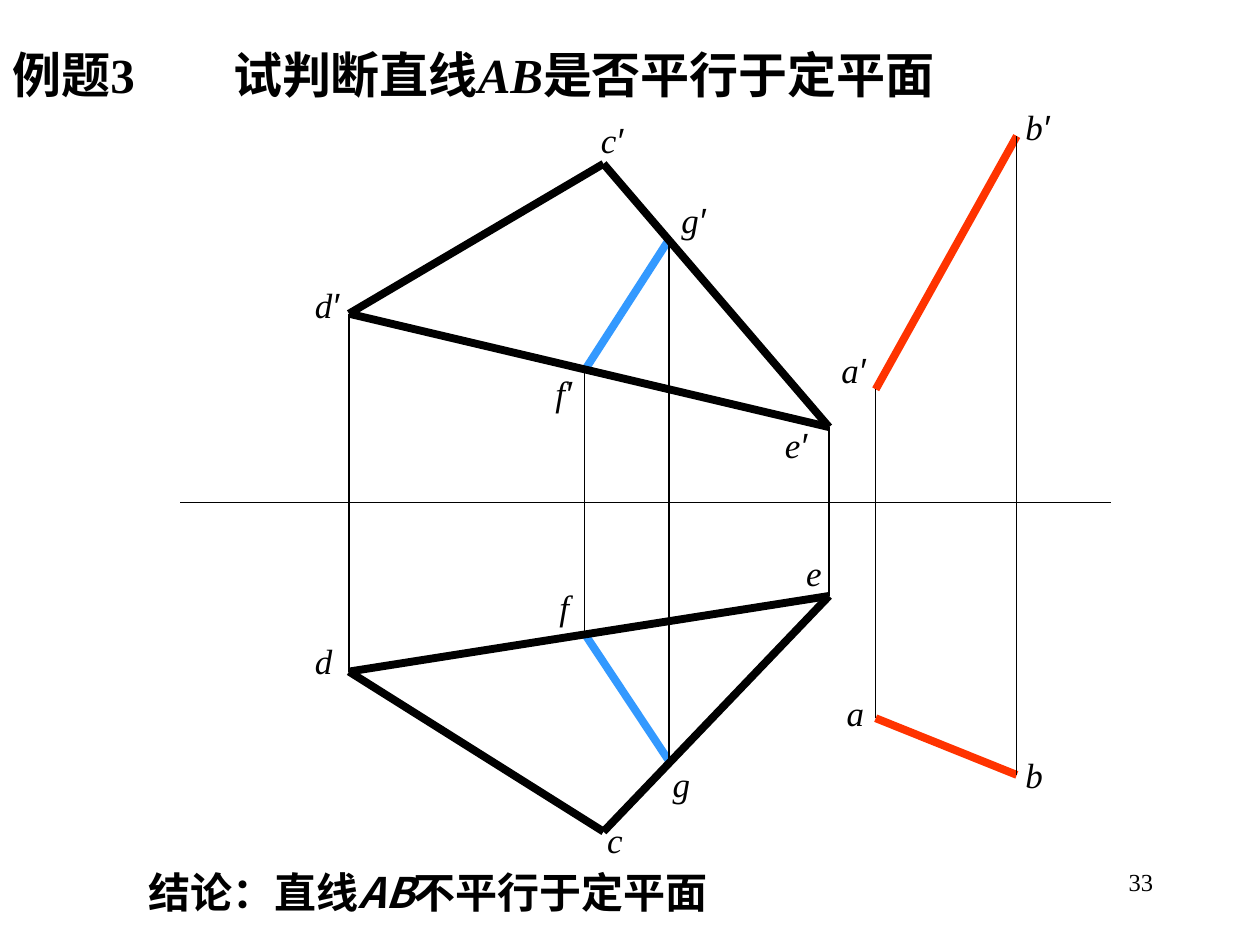
from lxml import etree
from pptx import Presentation
from pptx import util as u
from pptx.dml.color import RGBColor
from pptx.enum import shapes, text
from pptx.oxml.ns import qn

COLORS = {"ink": "000000", "line_ab": "FF3300", "line_fg": "3399FF"}
SERIF, SANS, PRIME = "Times New Roman", "Noto Sans CJK SC", "Arial"
THIN, THICK = 0.75, 4.5

# Each point: x, height in the front view (top), height in the plan view (bottom)
POINTS = {
    "a": (6.95, 3.09, 5.7),
    "b": (8.07, 1.08, 6.15),
    "c": (4.79, 1.3, 6.6),
    "d": (2.77, 2.49, 5.33),
    "e": (6.58, 3.39, 4.73),
    "f": (4.64, 2.94, 5.03),
    "g": (5.31, 1.9, 6.04),
}
# Label corners in the front view and in the plan view
LABELS = {
    "a": ((6.58, 2.72), (6.62, 5.44)),
    "b": ((8.04, 0.79), (8.04, 5.93)),
    "c": ((4.67, 0.89), (4.72, 6.45)),
    "d": ((2.4, 2.2), (2.4, 5.03)),
    "e": ((6.13, 3.31), (6.3, 4.33)),
    "f": ((4.31, 2.9), (4.34, 4.6)),
    "g": ((5.31, 1.53), (5.24, 6.0)),
}
SEGMENTS = [("fg", "line_fg"), ("cd", "ink"), ("de", "ink"), ("ec", "ink"),
            ("ab", "line_ab")]


class Drawing:
    def __init__(self, page):
        self.page = page

    def line(self, start, end, color="ink", width=THIN):
        ends = [u.Inches(value) for value in (*start, *end)]
        line = self.page.shapes.add_connector(shapes.MSO_CONNECTOR.STRAIGHT, *ends)
        line.line.color.rgb = RGBColor.from_string(COLORS[color])
        line.line.width = u.Pt(width)
        etree.SubElement(line._element.spPr, qn("a:effectLst"))

    def fill_text(self, box, spans, size, align=text.PP_ALIGN.LEFT, tab=None):
        """Fill a box with one paragraph of (text, font, format) spans."""
        frame = box.text_frame
        layout = {"word_wrap": True, "auto_size": text.MSO_AUTO_SIZE.NONE,
                  "vertical_anchor": text.MSO_ANCHOR.TOP}
        for name, value in layout.items():
            setattr(frame, name, value)
        para = frame.paragraphs[0]
        para.alignment = align
        para.space_before = u.Pt(0)
        if tab:
            stops = etree.SubElement(para._p.get_or_add_pPr(), qn("a:tabLst"))
            etree.SubElement(stops, qn("a:tab"), pos=str(u.Inches(tab)), algn="l")
        for words, font, style in spans:
            span = para.add_run()
            span.text = words
            values = {"name": font, "size": u.Pt(size), "bold": False,
                      "italic": False, **style}
            for name, value in values.items():
                setattr(span.font, name, value)
            span.font.color.rgb = RGBColor.from_string(COLORS["ink"])
            latin = span.font._element.find(qn("a:latin"))
            latin.addnext(etree.Element(qn("a:ea"), typeface=SANS))

    def title(self, place, spans, size, tab):
        box = self.page.shapes.title
        for name, value in zip(("left", "top", "width", "height"), place):
            setattr(box, name, u.Inches(value))
        self.fill_text(box, spans, size, tab=tab)

    def text_box(self, place, spans, size, **options):
        box = self.page.shapes.add_textbox(*[u.Inches(value) for value in place])
        self.fill_text(box, spans, size, **options)

    def label(self, corner, letter, primed):
        italic = {"italic": True}
        spans = [(letter, SERIF, italic)]
        if primed:
            spans.append(("′", PRIME, italic))
        self.text_box((*corner, 0.52, 0.44), spans, 20)


def sentence(before, name, after, font):
    bold = {"bold": True}
    return [(before, font, bold), (name, font, {**bold, "italic": True}),
            (after, font, bold)]


def main():
    deck = Presentation()
    deck.slide_width, deck.slide_height = u.Inches(10), u.Inches(7.5)
    drawing = Drawing(deck.slides.add_slide(deck.slide_layouts[5]))

    drawing.title((0, 0.3, 8.38, 0.75),
                  sentence("例题3\t试判断直线", "AB", "是否平行于定平面", SERIF),
                  28, tab=1.75)

    drawing.line((1.43, 3.99), (8.82, 3.99))
    for ends, color in SEGMENTS:
        (x1, front1, plan1), (x2, front2, plan2) = (POINTS[end] for end in ends)
        drawing.line((x1, front1), (x2, front2), color, THICK)
        drawing.line((x1, plan1), (x2, plan2), color, THICK)
    for letter, (x, front, plan) in POINTS.items():
        if letter != "c":
            drawing.line((x, front), (x, plan))
        front_corner, plan_corner = LABELS[letter]
        drawing.label(front_corner, letter, True)
        drawing.label(plan_corner, letter, False)

    drawing.text_box((1.08, 6.83, 6.15, 0.5),
                     sentence("结论：直线", "AB", "不平行于定平面", SANS), 24)
    drawing.text_box((7.17, 6.83, 2.08, 0.5), [("33", SERIF, {})], 14,
                     align=text.PP_ALIGN.RIGHT)
    deck.save("out.pptx")


if __name__ == "__main__":
    main()
